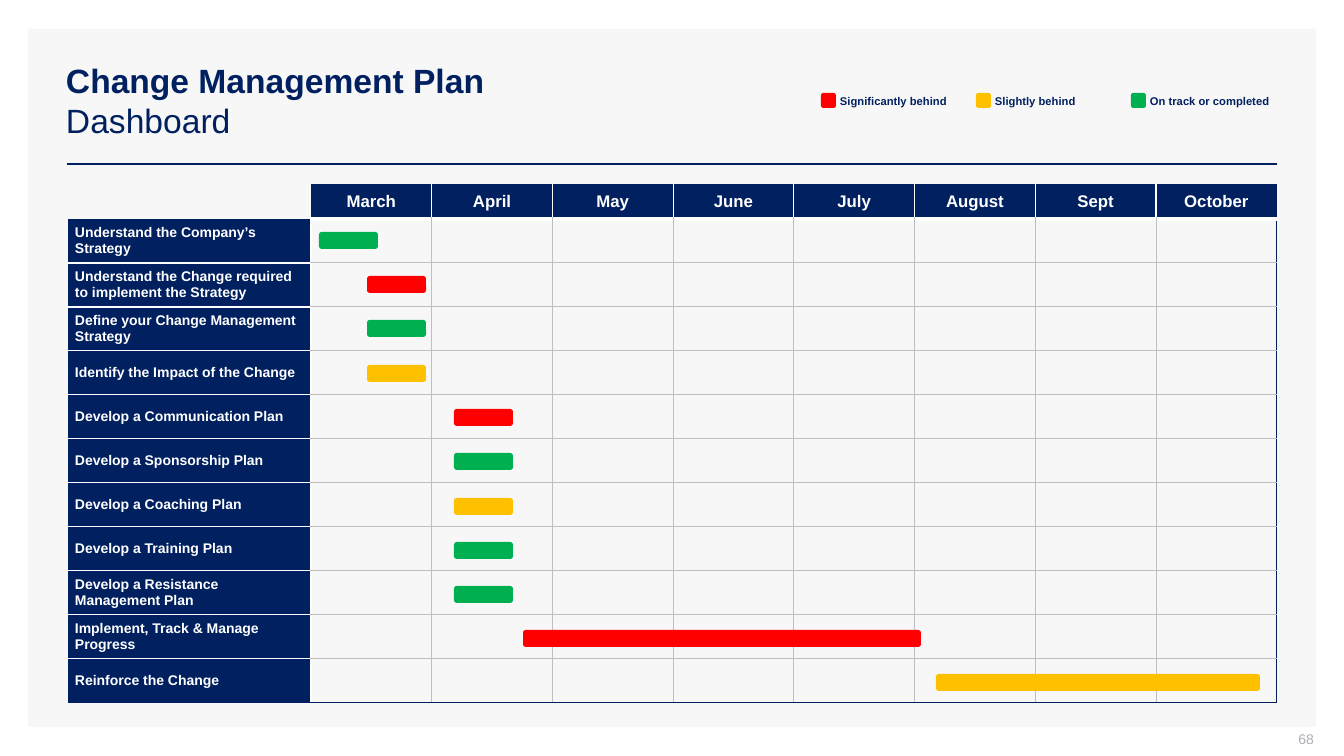
from lxml.etree import SubElement
from pptx import Presentation
from pptx.dml.color import RGBColor
from pptx.enum.shapes import MSO_CONNECTOR, MSO_SHAPE
from pptx.enum.text import MSO_ANCHOR, PP_ALIGN
from pptx.oxml.ns import qn
from pptx.util import Pt

PX = 914400 / 100.8
HUES = {"navy": "002060", "white": "FFFFFF", "grid": "BFBFBF", "panel": "F7F7F7",
        "page": "ADAFBB", "late": "FF0000", "slow": "FFC000", "good": "00B050"}


def emu(*sizes):
    return [round(size * PX) for size in sizes]


def write(spot, text, size=10, hue="white", bold=True, align=PP_ALIGN.LEFT, pad=0, wrap=True):
    """Put text in a table cell, or in a new text box when spot is a rectangle."""
    host = frame = spot
    if isinstance(spot, tuple):
        host = frame = slide.shapes.add_textbox(*emu(*spot)).text_frame
        frame.word_wrap = wrap
    else:
        frame = spot.text_frame
    host.margin_left = host.margin_right = emu(pad)[0]
    host.margin_top = host.margin_bottom = 0
    host.vertical_anchor = MSO_ANCHOR.MIDDLE
    para = frame.paragraphs[0]
    para.text = text
    para.alignment = align
    for run in para.runs:
        run.font.name, run.font.size, run.font.bold = "Arial", Pt(size), bold
        run.font.color.rgb = RGBColor.from_string(HUES[hue])
    return para


deck = Presentation()
deck.slide_width, deck.slide_height = emu(1344, 756)
slide = deck.slides.add_slide(deck.slide_layouts[6])

# Panel, title and rule
panel = slide.shapes.add_shape(MSO_SHAPE.RECTANGLE, *emu(28, 29, 1288, 698))
panel.shadow.inherit = False
panel.fill.solid()
panel.fill.fore_color.rgb = RGBColor.from_string(HUES["panel"])
panel.line.fill.background()

rule = slide.shapes.add_connector(MSO_CONNECTOR.STRAIGHT, *emu(67, 164, 1277, 164))
rule.line.color.rgb = RGBColor.from_string(HUES["navy"])
rule.line.width = Pt(2)
SubElement(rule.element.spPr, qn("a:effectLst"))

title = write((56, 40, 1221, 120), "Change Management Plan\nDashboard", size=24, hue="navy", pad=10)
title.runs[1].font.bold = False
write((1012, 731, 302, 16), "68", hue="page", bold=False, align=PP_ALIGN.RIGHT)

# Plan table
months = ["March", "April", "May", "June", "July", "August", "Sept", "October"]
tasks = [  # label, status, bar left, bar width
    ("Understand the Company’s Strategy", "good", 319, 59),
    ("Understand the Change required to implement the Strategy", "late", 367, 59),
    ("Define your Change Management Strategy", "good", 367, 59),
    ("Identify the Impact of the Change", "slow", 367, 59),
    ("Develop a Communication Plan", "late", 454, 59),
    ("Develop a Sponsorship Plan", "good", 454, 59),
    ("Develop a Coaching Plan", "slow", 454, 59),
    ("Develop a Training Plan", "good", 454, 59),
    ("Develop a Resistance Management Plan", "good", 454, 59),
    ("Implement, Track & Manage Progress", "late", 523, 398),
    ("Reinforce the Change", "slow", 936, 324),
]
rows, cols = len(tasks) + 1, len(months) + 1
table = slide.shapes.add_table(rows, cols, *emu(68, 184, 1209, 519)).table
table.first_row = table.horz_banding = False
for c, col in enumerate(table.columns):
    col.width = emu(966 / len(months) if c else 243)[0]
for r, row in enumerate(table.rows):
    row.height = emu(44 if r else 35)[0]

edge, thin, thick, grid = ("navy", 0.75), ("white", 1), ("white", 3), ("grid", 0.75)
for r in range(rows):
    for c in range(cols):
        cell = table.cell(r, c)
        head = (r == 0) != (c == 0)
        if r == 0 and c:
            write(cell, months[c - 1], size=12, align=PP_ALIGN.CENTER, pad=7)
        else:
            write(cell, tasks[r - 1][0] if head else "", pad=7)
        props = cell._tc.get_or_add_tcPr()
        for side, upright, at in (("L", True, c), ("R", True, c + 1), ("T", False, r), ("B", False, r + 1)):
            first = r == 0 if upright else c == 0
            if first and at < 2 and (at == 1 or not head):
                line = None
            elif at in (0, cols if upright else rows):
                line = edge
            elif first or (upright and at == 1):
                line = thin
            else:
                line = thick if at == 1 else grid
            if r == 0 and c and side == "B":
                line = thick
            mark = SubElement(props, qn("a:ln" + side))
            if line:
                mark.set("w", str(Pt(line[1])))
                fill = SubElement(mark, qn("a:solidFill"))
                SubElement(fill, qn("a:srgbClr")).set("val", HUES[line[0]])
            else:
                SubElement(mark, qn("a:noFill"))
        if head:
            cell.fill.solid()
            cell.fill.fore_color.rgb = RGBColor.from_string(HUES["navy"])
        else:
            cell.fill.background()

# Task bars and legend
legend = [("Significantly behind", "late", 821), ("Slightly behind", "slow", 976),
          ("On track or completed", "good", 1131)]
blocks = [(hue, left, round(232 + 44.25 * i), wide, 17)
          for i, (label, hue, left, wide) in enumerate(tasks)]
blocks += [(hue, left, 93, 15, 15) for label, hue, left in legend]
for hue, *area in blocks:
    bar = slide.shapes.add_shape(MSO_SHAPE.ROUNDED_RECTANGLE, *emu(*area))
    bar.shadow.inherit = False
    bar.fill.solid()
    bar.fill.fore_color.rgb = RGBColor.from_string(HUES[hue])
    bar.line.fill.background()
for label, hue, left in legend:
    write((left + 19, 81, 125, 39), label, size=8, hue="navy", wrap=False)

deck.save("out.pptx")
